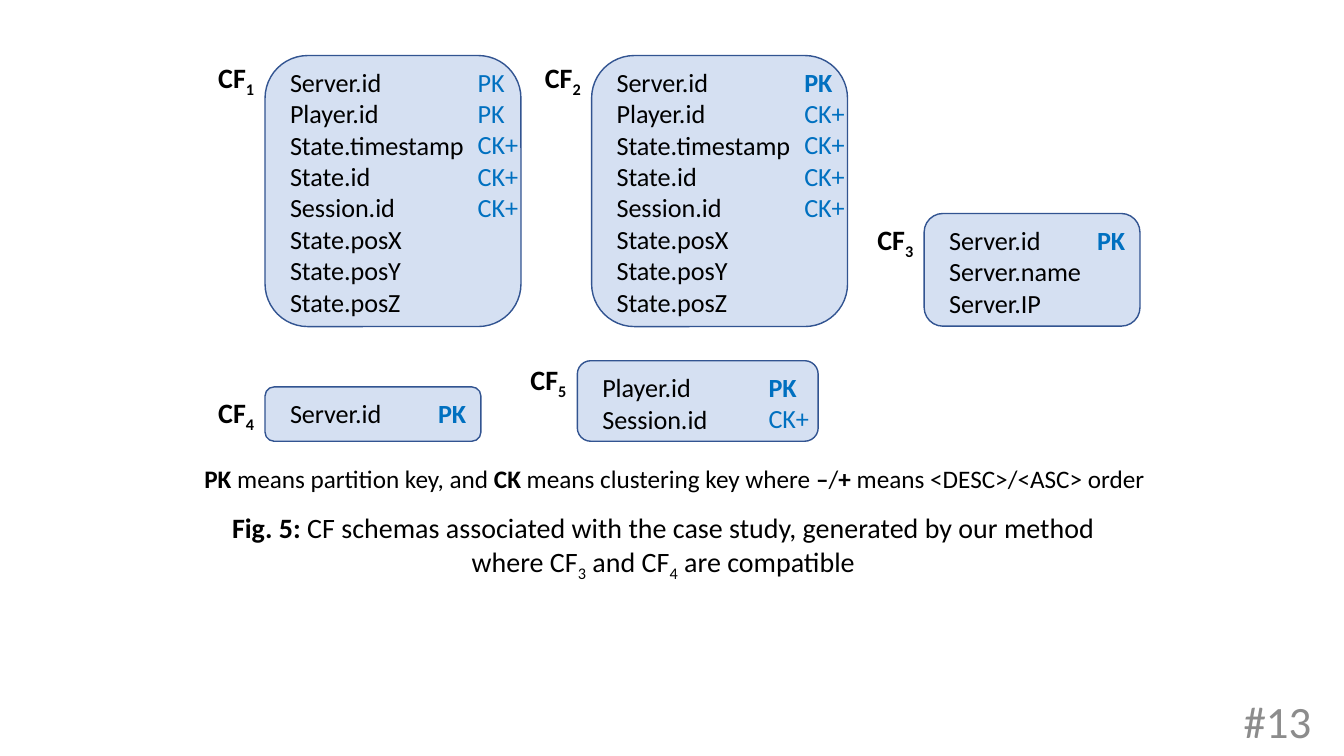
from dataclasses import dataclass

from pptx import Presentation
from pptx.dml.color import RGBColor
from pptx.enum.shapes import MSO_SHAPE
from pptx.enum.text import MSO_ANCHOR, PP_ALIGN
from pptx.oxml.ns import qn
from pptx.util import Cm, Pt
from lxml import etree

ROUNDED = MSO_SHAPE.ROUNDED_RECTANGLE
TOP, MIDDLE = MSO_ANCHOR.TOP, MSO_ANCHOR.MIDDLE
LEFT, CENTER, RIGHT = PP_ALIGN.LEFT, PP_ALIGN.CENTER, PP_ALIGN.RIGHT
BOLD, SUBSCRIPT = "bold", "subscript"


@dataclass(frozen=True)
class Theme:
    font: str = "Calibri"
    ink: str = "000000"
    key: str = "0070C0"
    card: str = "4472C4"
    card_opacity: int = 22
    outline: str = "325491"
    muted: str = "8C8C8C"
    column_size: float = 18.67
    label_size: float = 20
    legend_size: float = 18
    number_size: float = 32


class SchemaSlide:
    def __init__(self, presentation, theme):
        self.theme = theme
        self.slide = presentation.slides.add_slide(presentation.slide_layouts[6])

    def text(self, paragraphs, box, size, color=None, align=LEFT, anchor=TOP, wrap=False):
        shape = self.slide.shapes.add_textbox(*map(Cm, box))
        frame = shape.text_frame
        frame.word_wrap = wrap
        frame.vertical_anchor = anchor
        for index, runs in enumerate(paragraphs):
            paragraph = frame.add_paragraph() if index else frame.paragraphs[0]
            paragraph.alignment = align
            for content, *styles in runs:
                run = paragraph.add_run()
                run.text = content
                run.font.name = self.theme.font
                run.font.size = Pt(size)
                run.font.bold = BOLD in styles
                run.font.color.rgb = RGBColor.from_string(color or self.theme.ink)
                if SUBSCRIPT in styles:
                    run._r.get_or_add_rPr().set("baseline", "-25000")

    def card(self, box):
        shape = self.slide.shapes.add_shape(ROUNDED, *map(Cm, box))
        shape.shadow.inherit = False
        shape.fill.solid()
        shape.fill.fore_color.rgb = RGBColor.from_string(self.theme.card)
        color = shape._element.spPr.find(qn("a:solidFill"))[0]
        etree.SubElement(color, qn("a:alpha")).set("val", str(self.theme.card_opacity * 1000))
        shape.line.color.rgb = RGBColor.from_string(self.theme.outline)
        shape.line.width = Pt(1)

    def column_family(self, number, box, columns, keys, key_offset, label_shift):
        left, top, width, height = box
        self.card(box)
        self.text([[(column,)] for column in columns],
                  (left + 0.38, top + 0.15, width - 0.6, height - 0.2),
                  self.theme.column_size)
        self.text([[("CF", BOLD), (number, BOLD, SUBSCRIPT)]],
                  (left - 1.43, top + label_shift, 1.93, 1.12), self.theme.label_size)
        single = keys.count("PK") == 1
        self.text([[(key, BOLD) if single and key == "PK" else (key,)] for key in keys],
                  (left + key_offset, top + 0.14, 1.8, 0.25 + 0.8 * len(keys)),
                  self.theme.column_size, color=self.theme.key)


def main():
    presentation = Presentation()
    presentation.slide_width, presentation.slide_height = Cm(33.87), Cm(19.05)
    theme = Theme()
    page = SchemaSlide(presentation, theme)

    state_columns = ["Server.id", "Player.id", "State.timestamp", "State.id",
                     "Session.id", "State.posX", "State.posY", "State.posZ"]
    families = [
        ("1", (6.68, 1.4, 6.45, 6.83), state_columns,
         ["PK"] * 2 + ["CK+"] * 3, 5.11, 0),
        ("2", (14.91, 1.4, 6.45, 6.83), state_columns,
         ["PK"] + ["CK+"] * 4, 5.11, 0),
        ("3", (23.29, 5.38, 5.44, 2.84), ["Server.id", "Server.name", "Server.IP"],
         ["PK"], 4.11, 0.1),
        ("4", (6.68, 9.75, 5.44, 1.37), ["Server.id"], ["PK"], 4.11, 0.1),
        ("5", (14.55, 9.09, 6.07, 2.03), ["Player.id", "Session.id"],
         ["PK", "CK+"], 4.57, -0.08),
    ]
    for family in families:
        page.column_family(*family)

    page.text([[("PK", BOLD), (" means partition key, and ",), ("CK", BOLD),
                (" means clustering key where ",), ("–", BOLD), ("/",), ("+", BOLD),
                (" means <DESC>/<ASC> order",)]],
              (4.9, 11.56, 25.17, 1.02), theme.legend_size, wrap=True)
    page.text([[("Fig. 5: ", BOLD),
                ("CF schemas associated with the case study, generated by our method where CF",),
                ("3", SUBSCRIPT), (" and CF",), ("4", SUBSCRIPT), (" are compatible",)]],
              (5.21, 12.93, 23.01, 1.7), theme.label_size,
              align=CENTER, anchor=MIDDLE, wrap=True)
    page.text([[("#13",)]], (25.68, 17.65, 7.62, 1.02), theme.number_size,
              color=theme.muted, align=RIGHT, anchor=MIDDLE, wrap=True)
    presentation.save("out.pptx")


if __name__ == "__main__":
    main()
